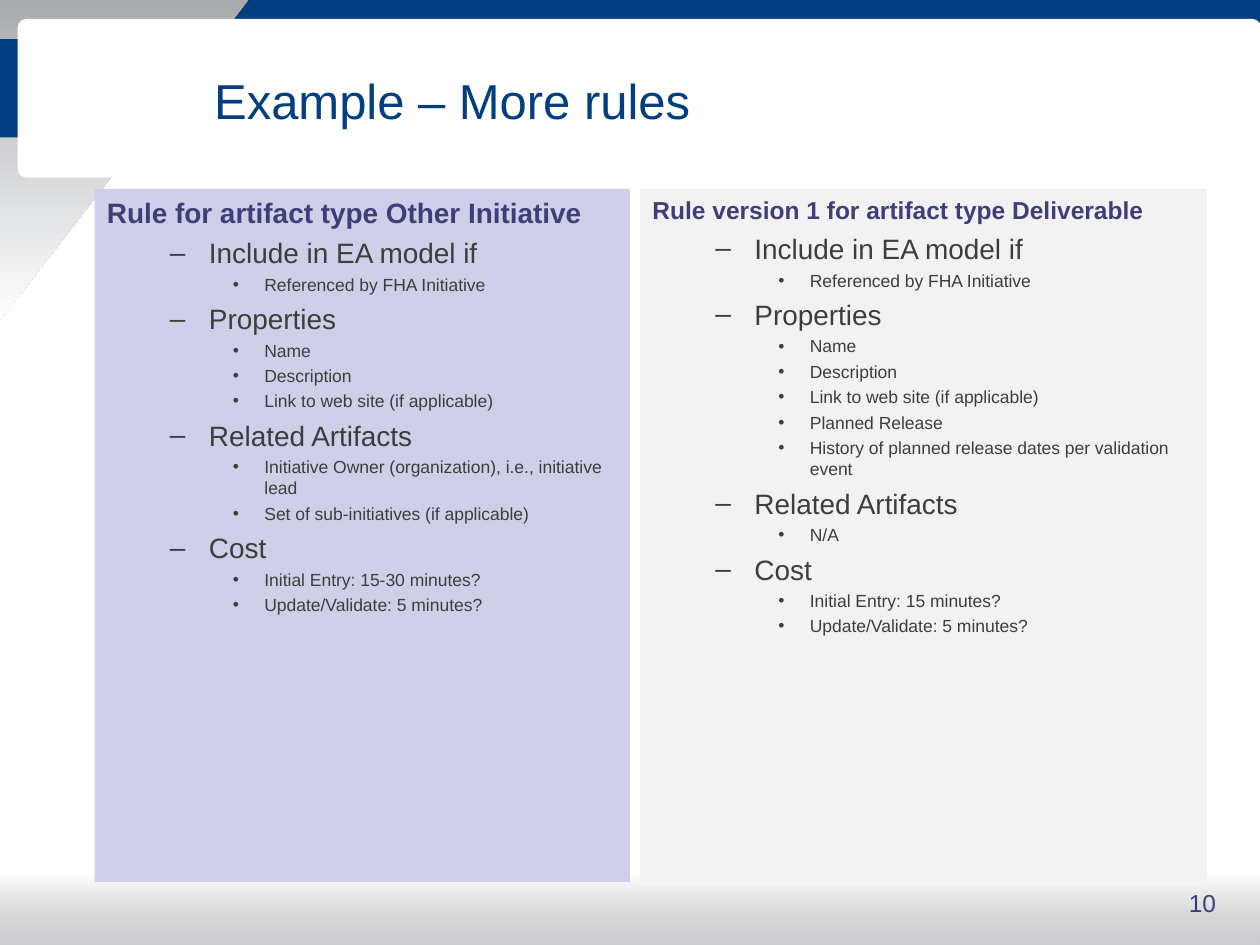
from dataclasses import dataclass

from lxml import etree
from pptx import Presentation
from pptx.dml.color import RGBColor
from pptx.enum.shapes import MSO_SHAPE as Shape
from pptx.enum.text import MSO_ANCHOR as Anchor, MSO_AUTO_SIZE as AutoSize, PP_ALIGN as Align
from pptx.oxml import parse_xml
from pptx.oxml.ns import nsdecls, qn
from pptx.util import Inches, Pt


@dataclass(frozen=True)
class Theme:
    font: str = "Arial"
    blue: str = "013F80"
    purple: str = "3E3F78"
    ink: str = "3C3E3D"
    grey: str = "A9AAAD"
    white: str = "FFFFFF"
    lilac: str = "D0CFE9"
    pale: str = "F2F2F2"
    title_size: int = 28
    topic_size: int = 16
    detail_size: int = 10
    number_size: int = 14


THEME = Theme()

# Per level: bullet, left margin, hanging indent (inches), size, space before (points)
LEVELS = {
    1: ("–", 0.81, 0.31, THEME.topic_size, 4),
    2: ("•", 1.25, 0.25, THEME.detail_size, 2.5),
}

INITIATIVE_RULE = [
    ("Include in EA model if", ["Referenced by FHA Initiative"]),
    ("Properties", ["Name", "Description", "Link to web site (if applicable)"]),
    ("Related Artifacts", ["Initiative Owner (organization), i.e., initiative lead",
                           "Set of sub-initiatives (if applicable)"]),
    ("Cost", ["Initial Entry: 15-30 minutes?", "Update/Validate: 5 minutes?"]),
]
DELIVERABLE_RULE = [
    ("Include in EA model if", ["Referenced by FHA Initiative"]),
    ("Properties", ["Name", "Description", "Link to web site (if applicable)",
                    "Planned Release",
                    "History of planned release dates per validation event"]),
    ("Related Artifacts", ["N/A"]),
    ("Cost", ["Initial Entry: 15 minutes?", "Update/Validate: 5 minutes?"]),
]


def add_block(slide, kind, box, color):
    block = slide.shapes.add_shape(kind, *map(Inches, box))
    block.shadow.inherit = False
    block.line.fill.background()
    block.fill.solid()
    block.fill.fore_color.rgb = RGBColor.from_string(color)
    return block


def fade_down(block, start, end, end_alpha=100):
    """Replace the solid fill by a gradient that always runs down the slide."""
    solid = block.element.spPr.find(qn("a:solidFill"))
    solid.getparent().replace(solid, parse_xml(
        f'<a:gradFill {nsdecls("a")} rotWithShape="0"><a:gsLst>'
        f'<a:gs pos="0"><a:srgbClr val="{start}"/></a:gs>'
        f'<a:gs pos="100000"><a:srgbClr val="{end}">'
        f'<a:alpha val="{end_alpha * 1000}"/></a:srgbClr></a:gs>'
        '</a:gsLst><a:lin ang="5400000" scaled="0"/></a:gradFill>'))


def add_run(paragraph, text, size, color, bold=False):
    run = paragraph.add_run()
    run.text = text
    run.font.name = THEME.font
    run.font.size = Pt(size)
    run.font.bold = bold
    run.font.color.rgb = RGBColor.from_string(color)


def add_bullet_line(frame, level, text):
    char, margin, hanging, size, space = LEVELS[level]
    line = frame.add_paragraph()
    line.level = level
    line.alignment = Align.LEFT
    props = line._p.get_or_add_pPr()
    props.set("marL", str(Inches(margin)))
    props.set("indent", str(-Inches(hanging)))
    color = etree.SubElement(props, qn("a:buClr"))
    etree.SubElement(color, qn("a:srgbClr"), val=THEME.ink)
    etree.SubElement(props, qn("a:buFont"), typeface=THEME.font)
    etree.SubElement(props, qn("a:buChar"), char=char)
    line.space_before = Pt(space)
    add_run(line, text, size, THEME.ink)


def add_backdrop(slide, width, height):
    add_block(slide, Shape.RECTANGLE, (1.6, 0, width - 1.6, 0.42), THEME.blue)
    corner = add_block(slide, Shape.RIGHT_TRIANGLE, (-0.31, 0.28, 2.58, 2), THEME.grey)
    corner.rotation = 90
    fade_down(corner, THEME.grey, THEME.white)
    add_block(slide, Shape.RECTANGLE, (0, 0.31, 0.17, 0.78), THEME.blue)
    title_card = add_block(slide, Shape.ROUNDED_RECTANGLE, (0.14, 0.15, 9.87, 1.26), THEME.white)
    title_card.adjustments[0] = 0.056
    footer = add_block(slide, Shape.RECTANGLE, (0, 6.93, width, height - 6.93), THEME.white)
    fade_down(footer, THEME.white, THEME.grey, 57)


def place_title(slide, box, text):
    title = slide.shapes.title
    title.left, title.top, title.width, title.height = map(Inches, box)
    # Bring the title in front of the backdrop
    title.element.getparent().append(title.element)
    frame = title.text_frame
    frame.auto_size = AutoSize.NONE
    frame.vertical_anchor = Anchor.MIDDLE
    heading = frame.paragraphs[0]
    heading.alignment = Align.LEFT
    add_run(heading, text, THEME.title_size, THEME.blue)


def add_rule_panel(slide, box, color, heading, heading_size, topics):
    frame = add_block(slide, Shape.RECTANGLE, box, color).text_frame
    frame.word_wrap = True
    frame.vertical_anchor = Anchor.TOP
    first = frame.paragraphs[0]
    first.alignment = Align.LEFT
    add_run(first, heading, heading_size, THEME.purple, bold=True)
    for topic, details in topics:
        add_bullet_line(frame, 1, topic)
        for detail in details:
            add_bullet_line(frame, 2, detail)


def add_page_number(slide, box, number):
    frame = slide.shapes.add_textbox(*map(Inches, box)).text_frame
    frame.word_wrap = True
    line = frame.paragraphs[0]
    line.alignment = Align.RIGHT
    add_run(line, number, THEME.number_size, THEME.purple)


def main():
    width, height = 10, 7.5
    deck = Presentation()
    deck.slide_width, deck.slide_height = Inches(width), Inches(height)
    slide = deck.slides.add_slide(deck.slide_layouts[5])

    add_backdrop(slide, width, height)
    place_title(slide, (1.6, 0.17, 8.32, 1.25), "Example – More rules")
    add_rule_panel(slide, (0.75, 1.5, 4.25, 5.5), THEME.lilac,
                   "Rule for artifact type Other Initiative", 16, INITIATIVE_RULE)
    add_page_number(slide, (7.67, 7, 2.08, 0.5), "10")
    add_rule_panel(slide, (5.08, 1.5, 4.5, 5.5), THEME.pale,
                   "Rule version 1 for artifact type Deliverable", 14, DELIVERABLE_RULE)
    deck.save("out.pptx")


if __name__ == "__main__":
    main()
